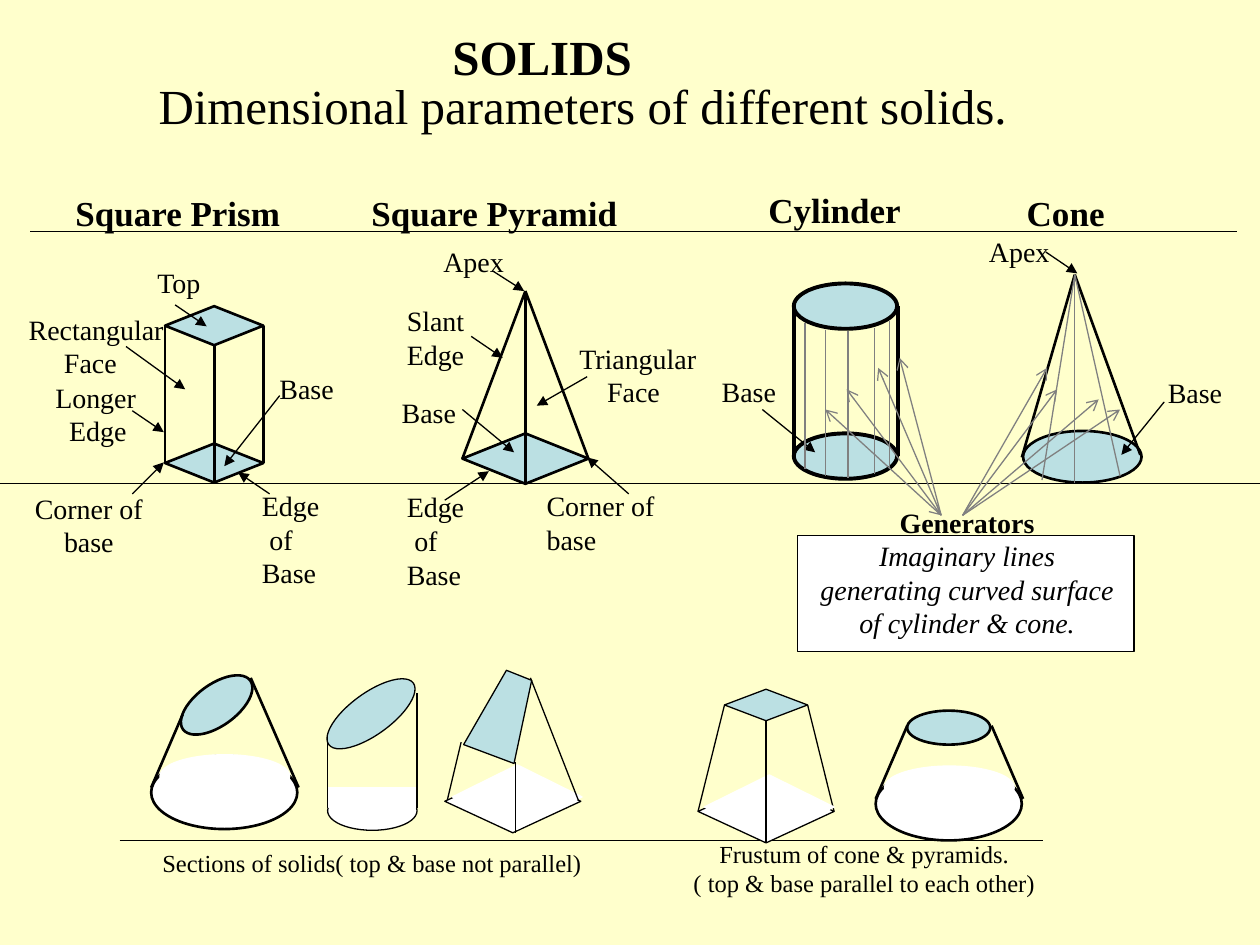
from lxml.etree import SubElement
from pptx import Presentation
from pptx.dml.color import RGBColor
from pptx.enum.shapes import MSO_CONNECTOR, MSO_SHAPE
from pptx.enum.text import MSO_ANCHOR, MSO_AUTO_SIZE, PP_ALIGN
from pptx.oxml.ns import qn
from pptx.util import Inches, Pt

COLORS = {"background": "FFFFCC", "face": "BBE0E3", "white": "FFFFFF",
          "black": "000000", "generator": "808080"}
FONT = "Times New Roman"
COLUMNS, ROWS = 100, 75
CELL = Inches(0.1)
ELLIPSE, DIAMOND, RECTANGLE = MSO_SHAPE.OVAL, MSO_SHAPE.DIAMOND, MSO_SHAPE.RECTANGLE
TOP, LEFT, BOTTOM, RIGHT = range(4)
THIN, MEDIUM, THICK = 0.75, 1.5, 2.25


def cells(*counts):
    """Turn counts of grid cells into slide lengths."""
    return [round(count * CELL) for count in counts]


def rgb(name):
    return RGBColor.from_string(COLORS[name])


def paint(shape, fill, line, weight):
    shape.shadow.inherit = False
    shape.fill.solid()
    shape.fill.fore_color.rgb = rgb(fill)
    shape.line.color.rgb = rgb(line)
    shape.line.width = Pt(weight)
    return shape


def add_face(parent, kind, box, fill="face", line="black", weight=THIN, rotation=0):
    shape = parent.shapes.add_shape(kind, *cells(*box))
    shape.rotation = rotation
    return paint(shape, fill, line, weight)


def add_line(parent, start, end, weight=THIN, color="black", tail=None, head=None):
    line = parent.shapes.add_connector(MSO_CONNECTOR.STRAIGHT, *cells(*start, *end))
    line.line.color.rgb = rgb(color)
    line.line.width = Pt(weight)
    properties = line.line._get_or_add_ln()
    for tag, arrow in (("a:headEnd", head), ("a:tailEnd", tail)):
        if arrow:
            SubElement(properties, qn(tag), type=arrow)
    SubElement(line._element.spPr, qn("a:effectLst"))
    return line


def join(parent, upper, lower, site, weight):
    """Draw an edge between the same corner of two faces."""
    line = add_line(parent, (0, 0), (0, 0), weight)
    line.begin_connect(upper, site)
    line.end_connect(lower, site)


def write(shape, lines, size=16, bold=False, italic=False, align=PP_ALIGN.LEFT,
          wrap=False, indent=0):
    """Fill a shape; a line is a string or a (string, overrides) pair."""
    frame = shape.text_frame
    frame.word_wrap = wrap
    frame.auto_size = MSO_AUTO_SIZE.NONE
    frame.vertical_anchor = MSO_ANCHOR.TOP
    for index, line in enumerate(lines):
        text, changes = (line, {}) if isinstance(line, str) else line
        style = {"bold": bold, "italic": italic, "indent": indent, **changes}
        paragraph = frame.paragraphs[0] if index == 0 else frame.add_paragraph()
        paragraph.alignment = align
        if style["indent"]:
            paragraph._p.get_or_add_pPr().set("marL", str(Inches(style["indent"])))
        run = paragraph.add_run()
        run.text = text
        run.font.name = FONT
        run.font.size = Pt(size)
        run.font.bold = style["bold"]
        run.font.italic = style["italic"]
        run.font.color.rgb = rgb("black")


def add_text(slide, left, top, width, lines, size=16, **style):
    height = 1 + len(lines) * size / 6
    write(slide.shapes.add_textbox(*cells(left, top, width, height)), lines, size, **style)


def add_cylinder(slide):
    group = slide.shapes.add_group_shape()
    add_face(group, ELLIPSE, (63, 22.5, 8.2, 3.6), weight=THICK)
    for x in (63, 71.3):
        add_line(group, (x, 24.3), (x, 36.2), THICK)
    add_face(group, ELLIPSE, (63, 34.4, 8.2, 3.6), weight=THICK)


def add_cone(slide):
    group = slide.shapes.add_group_shape()
    add_face(group, ELLIPSE, (81.2, 34.2, 9.4, 4.1), weight=MEDIUM)
    for foot in ((81.1, 36.3), (90.5, 36.1)):
        add_line(group, (85.3, 21.8), foot, MEDIUM)


def add_pyramid(slide):
    group = slide.shapes.add_group_shape()
    base = add_face(group, DIAMOND, (36.7, 34.4, 10, 4), weight=MEDIUM)
    for site in (LEFT, RIGHT, BOTTOM):
        add_line(group, (41.7, 23.1), (41.7, 38.4), MEDIUM).end_connect(base, site)


def add_prism(slide):
    group = slide.shapes.add_group_shape()
    top, base = [add_face(group, DIAMOND, (13.1, y, 7.8, 3.1), weight=MEDIUM)
                 for y in (24.3, 35.2)]
    for site in (LEFT, RIGHT, BOTTOM):
        join(group, top, base, site, MEDIUM)


def add_cut_cone(slide, left, top, cut, rotation, sides):
    """Draw a cone cut off by a tilted or level ellipse."""
    group = slide.shapes.add_group_shape()
    add_face(group, ELLIPSE, (left, top, 11.6, 5.8), "white", weight=MEDIUM)
    add_face(group, ELLIPSE, cut, weight=MEDIUM, rotation=rotation)
    for start, foot in zip(sides, (left, left + 11.7)):
        add_line(group, start, (foot, top + 2.5), MEDIUM)
    add_face(group, ELLIPSE, (left + 0.7, top - 0.1, 10.3, 3.4), "white", "white")


def add_pyramid_frustum(slide):
    group = slide.shapes.add_group_shape()
    base = add_face(group, DIAMOND, (55.4, 61.9, 10.8, 5), "white")
    top = add_face(group, DIAMOND, (57.5, 54.7, 6.6, 2.5))
    for site in (LEFT, RIGHT):
        join(group, top, base, site, THIN)
    add_face(group, DIAMOND, (55.9, 61.5, 10.3, 5.1), "white", "white")
    join(group, top, base, BOTTOM, THIN)


def add_cut_pyramid(slide):
    group = slide.shapes.add_group_shape()
    add_face(group, DIAMOND, (35.3, 61.1, 10.8, 5), "white")
    add_line(group, (36.6, 58.9), (35.5, 63.5))
    add_face(group, DIAMOND, (35.9, 60.7, 10.3, 5.1), "white", "white")
    add_line(group, (40.9, 60.5), (40.9, 66.1))
    add_line(group, (42.1, 53.8), (45.9, 63.5))
    section = group.shapes.build_freeform(*cells(40.8, 60.6))
    section.add_line_segments([cells(*point) for point in
                               ((42.2, 54), (40.2, 53.2), (36.8, 59.1))], close=True)
    paint(section.convert_to_shape(), "face", "black", THIN)


def add_cut_cylinder(slide):
    group = slide.shapes.add_group_shape()
    add_face(group, ELLIPSE, (26, 62.8, 7.1, 3.1), "white")
    add_face(group, ELLIPSE, (25.3, 55, 8.3, 3.3), rotation=324)
    add_face(group, RECTANGLE, (26.1, 62.5, 7, 1.6), "white", "white")
    for x, top in ((26, 58.3), (33.1, 55)):
        add_line(group, (x, top), (x, 64.1))


def add_generators(slide):
    lines = slide.shapes.add_group_shape()
    for x, top, foot in ((63.9, 25.6, 37.2), (65.5, 26.2, 37.8), (67.3, 26.3, 37.9),
                         (69.4, 26, 37.6), (70.6, 25.5, 37.2)):
        add_line(lines, (x, top), (x, foot), color="generator")
    for foot in ((82.7, 38.1), (88.9, 37.8), (85.3, 38.3)):
        add_line(lines, (85.3, 21.8), foot, color="generator")
    pointers = {74.7: ((65.5, 32.5), (67.2, 30.9), (69.7, 29.2), (71.4, 28.4)),
                76.4: ((83.1, 29.2), (83.9, 30.9), (87.2, 31.7), (88.9, 32.5))}
    for x, tips in pointers.items():
        for tip in tips:
            head = "arrow" if tip == (65.5, 32.5) else None
            add_line(slide, (x, 40.9), tip, color="generator", tail="arrow", head=head)
    add_face(slide, RECTANGLE, (63.3, 42.5, 26.7, 9.2), "white")
    add_text(slide, 63.8, 39.6, 25.9,
             [("Generators", {"bold": True, "italic": False}), "Imaginary lines",
              "generating curved surface", "of cylinder & cone."],
             italic=True, align=PP_ALIGN.CENTER)


def add_labels(slide):
    for left, top, width, text in (
            (5, 14.7, 18.3, "Square Prism"), (28.5, 14.7, 21.6, "Square Pyramid"),
            (60, 14.5, 12.5, "Cylinder"), (80.5, 14.7, 8.2, "Cone")):
        add_text(slide, left, top, width, [text], size=20, bold=True)
    edge_of_base = ["Edge", ("of", {"indent": 0.06}), "Base"]
    for left, top, width, lines in (
            (11.5, 20.6, 5.6, ["Top"]),
            (1.3, 24.3, 12.7, ["Rectangular", ("Face", {"indent": 0.28})]),
            (3.4, 29.7, 8.9, ["Longer", ("Edge", {"indent": 0.11})]),
            (45, 26.6, 11.3, ["Triangular", ("Face", {"indent": 0.22})]),
            (31.3, 23.6, 7.1, ["Slant", "Edge"]),
            (19.8, 38.3, 6.5, edge_of_base), (31.3, 38.4, 6.5, edge_of_base),
            (34.2, 18.9, 6.8, ["Apex"]), (77.5, 18.1, 6.8, ["Apex"]),
            (21.2, 29, 6.3, ["Base"]), (30.9, 30.9, 6.3, ["Base"]),
            (56.3, 29.2, 6.3, ["Base"]), (91.7, 29.3, 6.3, ["Base"])):
        add_text(slide, left, top, width, lines)
    for left, top, align in ((0.1, 38.5, PP_ALIGN.CENTER), (42.4, 38.3, PP_ALIGN.LEFT)):
        add_text(slide, left, top, 13.9, ["Corner of base"], align=align, wrap=True)
    for start, tip in (
            ((10, 27.5), (14.7, 30.9)), ((13.9, 24.2), (16.4, 25.9)),
            ((10.5, 32.6), (13, 34.3)), ((37.4, 26.7), (39.9, 28.4)),
            ((46.6, 29.9), (42.6, 32.2)), ((39.1, 21.5), (41.6, 23.1)),
            ((49.9, 39.2), (46.6, 36.3)), ((35.3, 39.7), (38.8, 37.4)),
            ((36.7, 32.5), (40.8, 35.9)), ((10.5, 39.2), (13, 36.7)),
            ((21.4, 39.2), (18.9, 37.5)), ((22.2, 31.4), (17.8, 37)),
            ((60.5, 32.5), (64.7, 35.9)), ((83, 20), (85.5, 21.7)),
            ((92.4, 31.9), (89, 36.1))):
        add_line(slide, start, tip, tail="triangle")


def main():
    presentation = Presentation()
    presentation.slide_width, presentation.slide_height = cells(COLUMNS, ROWS)
    slide = presentation.slides.add_slide(presentation.slide_layouts[5])
    slide.background.fill.solid()
    slide.background.fill.fore_color.rgb = rgb("background")

    title = slide.shapes.title
    title.left, title.top, title.width, title.height = cells(34.9, 1.6, 18, 5.7)
    write(title, ["SOLIDS"], size=28, bold=True, wrap=True)
    add_text(slide, 11.6, 5.5, 69.5, ["Dimensional parameters of different solids."], size=28)

    for start, end, y in ((2.4, 98.2, 18.4), (0, COLUMNS, 38.4), (9.5, 82.8, 66.7)):
        add_line(slide, (start, y), (end, y))
    for add_solid in (add_cylinder, add_cone, add_pyramid, add_prism):
        add_solid(slide)
    add_labels(slide)
    add_generators(slide)

    add_cut_cone(slide, 69.5, 60.9, (72, 56.4, 6.6, 2.7), 0, ((72, 57.6), (78.7, 57.6)))
    add_cut_cone(slide, 12, 60, (13.9, 54.3, 6.6, 3.3), 324, ((14.5, 56.7), (19.9, 53.8)))
    for add_solid in (add_pyramid_frustum, add_cut_pyramid, add_cut_cylinder):
        add_solid(slide)
    add_text(slide, 11.9, 66.8, 35.5, ["Sections of solids( top & base not parallel)"], size=14)
    add_text(slide, 54, 66.1, 29.2, ["Frustum of cone & pyramids.",
                                     "( top & base parallel to each other)"],
             size=14, align=PP_ALIGN.CENTER)
    presentation.save("out.pptx")


if __name__ == "__main__":
    main()
